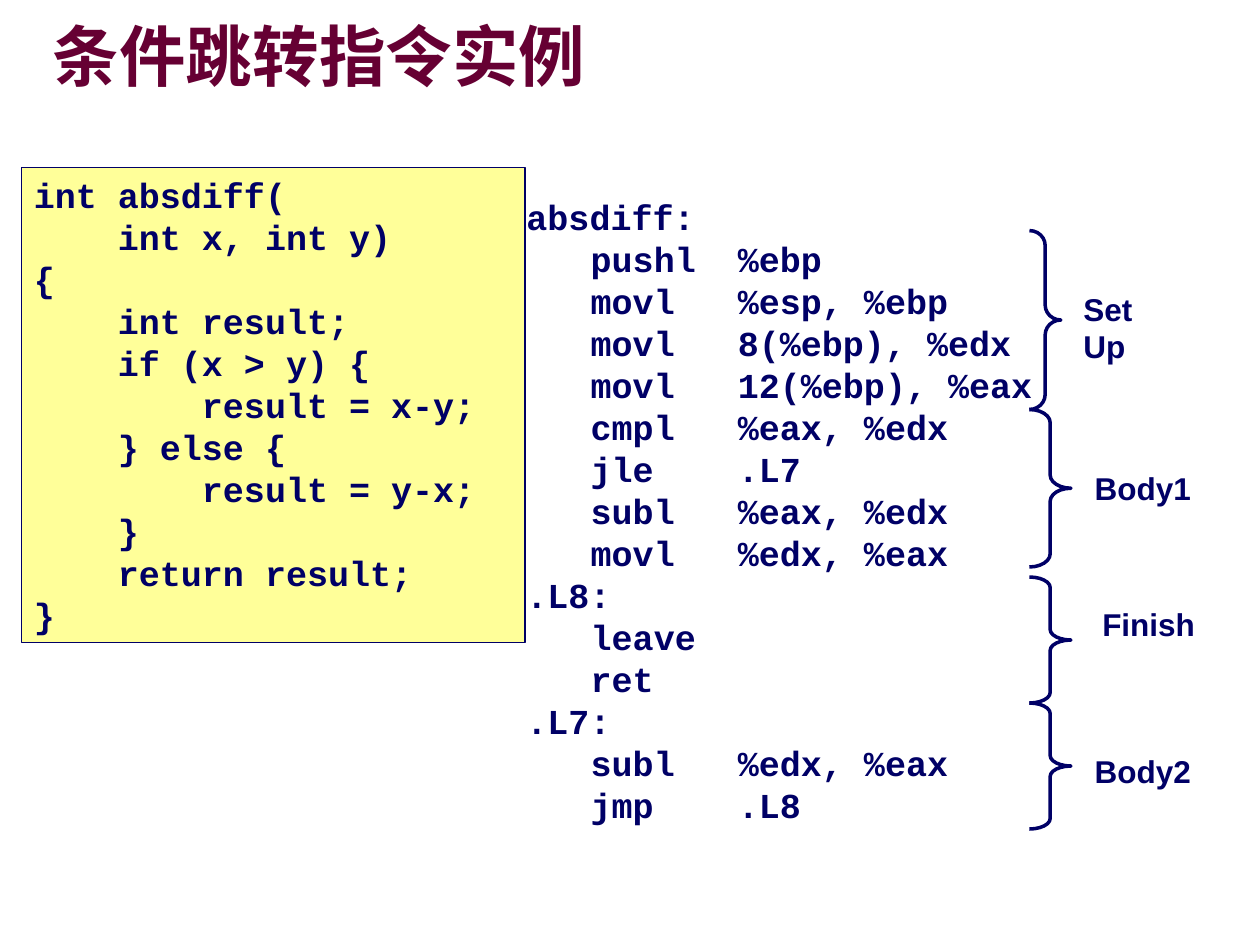
import pptx
import pptx.dml.color
import pptx.enum.shapes
import pptx.enum.text
import pptx.oxml.ns
import pptx.util
from lxml import etree

Inches = pptx.util.Inches
Pt = pptx.util.Pt
Shape = pptx.enum.shapes.MSO_SHAPE
Anchor = pptx.enum.text.MSO_ANCHOR
AutoSize = pptx.enum.text.MSO_AUTO_SIZE

NAVY = "000066"
MAROON = "660033"
YELLOW = "FFFF99"

C_CODE = """int absdiff(
    int x, int y)
{
    int result;
    if (x > y) {
        result = x-y;
    } else {
        result = y-x;
    }
    return result;
}"""

ASSEMBLY = """absdiff:
\tpushl  %ebp
\tmovl   %esp, %ebp
\tmovl   8(%ebp), %edx
\tmovl   12(%ebp), %eax
\tcmpl   %eax, %edx
\tjle    .L7
\tsubl   %eax, %edx
\tmovl   %edx, %eax
.L8:
\tleave
\tret
.L7:
\tsubl   %edx, %eax
\tjmp    .L8"""

BRACE_LEFT = 8.17
SECTIONS = [
    ("Set\nUp", 1.83, 0.25, 1.42, (8.5, 2.25, 0.6, 0.7)),
    ("Body1", 3.25, 0.33, 1.25, (8.59, 3.67, 1, 0.4)),
    ("Finish", 4.58, 0.33, 1, (8.65, 4.75, 1, 0.4)),
    ("Body2", 5.58, 0.33, 1, (8.59, 5.92, 1, 0.4)),
]


def color(value):
    return pptx.dml.color.RGBColor.from_string(value)


def add_tab(para, position):
    properties = para._p.get_or_add_pPr()
    tabs = etree.SubElement(properties, pptx.oxml.ns.qn("a:tabLst"))
    etree.SubElement(tabs, pptx.oxml.ns.qn("a:tab"), pos=str(Inches(position)), algn="l")


def write_text(frame, text, font="Arial", size=18, ink=NAVY, spacing=None, tab=None,
               wrap=True, margins=(0.1, 0.05), anchor=Anchor.TOP,
               auto_size=AutoSize.SHAPE_TO_FIT_TEXT):
    frame.word_wrap = wrap
    frame.auto_size = auto_size
    frame.vertical_anchor = anchor
    frame.margin_left = frame.margin_right = Inches(margins[0])
    frame.margin_top = frame.margin_bottom = Inches(margins[1])
    for index, line in enumerate(text.split("\n")):
        para = frame.add_paragraph() if index else frame.paragraphs[0]
        para.alignment = pptx.enum.text.PP_ALIGN.LEFT
        if spacing:
            para.line_spacing = spacing
        if tab:
            add_tab(para, tab)
        span = para.add_run()
        span.text = line
        span.font.name = font
        span.font.size = Pt(size)
        span.font.bold = True
        span.font.color.rgb = color(ink)


class SlideBuilder:
    code_style = {"font": "Courier New", "size": 20}

    def __init__(self, page):
        self.page = page

    def title(self, text, left, top, width, height):
        box = self.page.shapes.title
        box.left, box.top = Inches(left), Inches(top)
        box.width, box.height = Inches(width), Inches(height)
        write_text(box.text_frame, text, size=38, ink=MAROON, spacing=0.87,
                   margins=(0, 0), anchor=Anchor.MIDDLE, auto_size=AutoSize.NONE)

    def shape(self, kind, left, top, width, height, line_width):
        shape = self.page.shapes.add_shape(
            kind, Inches(left), Inches(top), Inches(width), Inches(height))
        shape.shadow.inherit = False
        shape.line.color.rgb = color(NAVY)
        shape.line.width = Pt(line_width)
        return shape

    def code_panel(self, text, *place):
        panel = self.shape(Shape.RECTANGLE, *place, line_width=1)
        panel.fill.solid()
        panel.fill.fore_color.rgb = color(YELLOW)
        write_text(panel.text_frame, text, **self.code_style)

    def text(self, text, left, top, width, height, **style):
        box = self.page.shapes.add_textbox(
            Inches(left), Inches(top), Inches(width), Inches(height))
        write_text(box.text_frame, text, **style)

    def brace(self, left, top, width, height):
        brace = self.shape(Shape.RIGHT_BRACE, left, top, width, height, line_width=2)
        brace.fill.background()
        brace.adjustments[0] = height / 12 / width
        brace.adjustments[1] = 0.5


def main():
    deck = pptx.Presentation()
    deck.slide_width, deck.slide_height = Inches(10), Inches(7.5)
    builder = SlideBuilder(deck.slides.add_slide(deck.slide_layouts[5]))
    builder.title("条件跳转指令实例", 0.42, 0.17, 8.06, 0.63)
    builder.code_panel(C_CODE, 0.17, 1.33, 4, 3.77)
    builder.text(ASSEMBLY, 4.08, 1.5, 5.42, 5.1, tab=0.51, **builder.code_style)
    for label, top, width, height, place in SECTIONS:
        builder.brace(BRACE_LEFT, top, width, height)
        builder.text(label, *place, wrap=False)
    deck.save("out.pptx")


if __name__ == "__main__":
    main()
